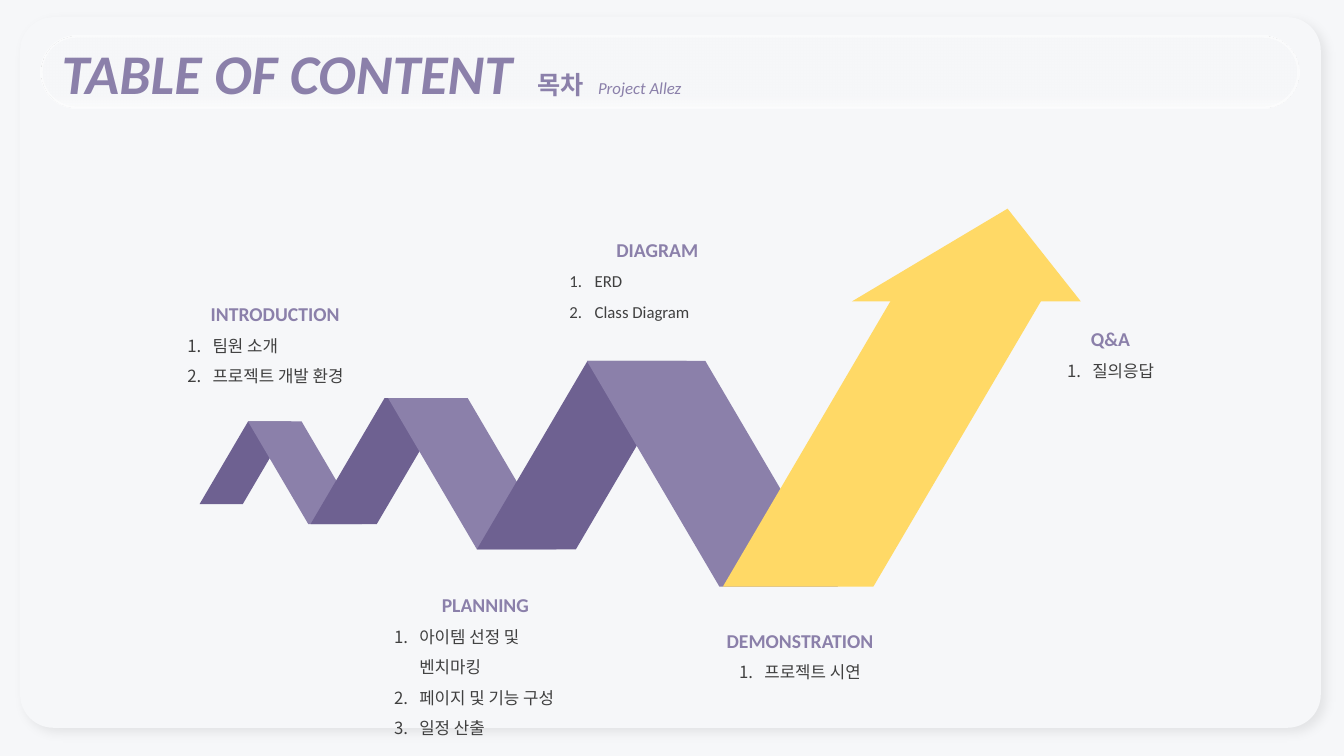
"""Build the table of content slide with a rising zigzag arrow."""
from dataclasses import dataclass

from lxml.etree import SubElement as Sub
from pptx import Presentation as Deck
from pptx.dml.color import RGBColor as Rgb
from pptx.enum.shapes import MSO_SHAPE as Kind
from pptx.enum.text import MSO_ANCHOR as Anchor, MSO_AUTO_SIZE as Fit, PP_ALIGN as Align
from pptx.oxml import parse_xml
from pptx.oxml.ns import nsdecls, qn
from pptx.util import Emu, Pt

PX = 9144
PALE, LILAC, PLUM, GOLD, GREY = "F6F7F9", "8B80AA", "6E6191", "FFD966", "404040"
HEAD = {"size": Pt(14), "name": "Calibri", "bold": True}
ITEM = {"size": Pt(12), "name": "Calibri", "bold": False}


@dataclass
class Box:
    x: int
    y: int
    w: int
    h: int

    def emu(self) -> list[Emu]:
        """Return left, top, width and height in EMU."""
        return [Emu(n * PX) for n in (self.x, self.y, self.w, self.h)]


@dataclass
class Topic:
    box: Box
    title: str
    items: list[str]
    mid: bool = False


BANDS = [
    Box(198, 418, 91, 82),
    Box(246, 418, 113, 102),
    Box(308, 395, 139, 125),
    Box(385, 395, 167, 150),
    Box(473, 358, 208, 187),
    Box(582, 358, 249, 224),
]

TOPICS = [
    Topic(Box(381, 572, 201, 136), "PLANNING",
          ["아이템 선정 및 벤치마킹", "페이지 및 기능 구성", "일정 산출"]),
    Topic(Box(555, 219, 194, 106), "DIAGRAM", ["ERD", "Class Diagram"]),
    Topic(Box(667, 607, 253, 129), "DEMONSTRATION", ["프로젝트 시연"], True),
    Topic(Box(176, 283, 194, 106), "INTRODUCTION", ["팀원 소개", "프로젝트 개발 환경"]),
    Topic(Box(975, 308, 253, 98), "Q&A", ["질의응답"], True),
]

TITLE = [
    ("TABLE OF CONTENT", {"size": Pt(40), "bold": True, "italic": True}),
    ("\t목차", {"size": Pt(18), "bold": True, "italic": False}),
    ("\tProject Allez", {"size": Pt(12), "bold": False, "italic": True}),
]
TABS = (472, 532)


def paint(fill, tone: str) -> None:
    """Give a fill one solid colour."""
    fill.solid()
    fill.fore_color.rgb = Rgb.from_string(tone)


def style(obj, form: dict) -> None:
    """Set each format value on an object."""
    for key, val in form.items():
        setattr(obj, key, val)


def write(para, text: str, form: dict, tone: str) -> None:
    """Add a styled run to a paragraph."""
    run = para.add_run()
    run.text = text
    style(run.font, form)
    paint(run.font.fill, tone)


def draw(slide, kind: Kind, box: Box, adj: float, tone: str, flip: bool = False):
    """Add a plain preset shape without line or shadow."""
    shape = slide.shapes.add_shape(kind, *box.emu())
    shape.adjustments[0] = adj
    shape.shadow.inherit = False
    paint(shape.fill, tone)
    shape.line.fill.background()
    if flip:
        shape._element.spPr.get_or_add_xfrm().set("flipH", "1")
    return shape


def card(slide) -> None:
    """Draw the back card with its soft shadow."""
    shape = draw(slide, Kind.ROUNDED_RECTANGLE, Box(20, 17, 1290, 705), 0.047, PALE)
    glow = shape._element.spPr.find(qn("a:effectLst"))
    glow.append(parse_xml(
        f'<a:outerShdw {nsdecls("a")} blurRad="{Pt(7)}" dist="{Pt(5)}" dir="2700000" '
        'algn="tl" rotWithShape="0"><a:srgbClr val="000000"><a:alpha val="7000"/>'
        '</a:srgbClr></a:outerShdw>'))


def banner(slide) -> None:
    """Draw the title pill and its text."""
    shape = draw(slide, Kind.ROUNDED_RECTANGLE, Box(41, 36, 1247, 71), 0.5, PALE)
    prop = shape._element.spPr
    old = prop.find(qn("a:solidFill"))
    prop.replace(old, parse_xml(
        f'<a:gradFill {nsdecls("a")} rotWithShape="1"><a:gsLst>'
        '<a:gs pos="0"><a:srgbClr val="FFFFFF"><a:alpha val="50000"/></a:srgbClr></a:gs>'
        f'<a:gs pos="17000"><a:srgbClr val="{PALE}"/></a:gs></a:gsLst>'
        '<a:lin ang="16200000" scaled="0"/></a:gradFill>'))
    paint(shape.line.fill, "FFFFFF")
    shape.line.width = Pt(2)
    ink = prop.find(qn("a:ln")).find(".//" + qn("a:srgbClr"))
    Sub(ink, qn("a:alpha"), val="50000")
    frame = shape.text_frame
    style(frame, {"word_wrap": True, "vertical_anchor": Anchor.MIDDLE})
    para = frame.paragraphs[0]
    para.alignment = Align.LEFT
    stops = Sub(para._p.get_or_add_pPr(), qn("a:tabLst"))
    for pos in TABS:
        Sub(stops, qn("a:tab"), pos=str(pos * PX), algn="l")
    for text, form in TITLE:
        write(para, text, {"name": "Calibri", **form}, LILAC)


def label(slide, topic: Topic) -> None:
    """Write a topic heading with its numbered list."""
    frame = slide.shapes.add_textbox(*topic.box.emu()).text_frame
    style(frame, {"word_wrap": True, "auto_size": Fit.SHAPE_TO_FIT_TEXT})
    para = frame.paragraphs[0]
    style(para, {"alignment": Align.CENTER, "line_spacing": 1.5})
    write(para, topic.title, HEAD, LILAC)
    for text in topic.items:
        para = frame.add_paragraph()
        side = Align.CENTER if topic.mid else Align.LEFT
        style(para, {"alignment": side, "line_spacing": 1.5})
        prop = para._p.get_or_add_pPr()
        prop.set("marL", str(25 * PX))
        prop.set("indent", str(-25 * PX))
        Sub(prop, qn("a:buFont"), typeface="+mj-lt")
        Sub(prop, qn("a:buAutoNum"), type="arabicPeriod")
        write(para, text, ITEM, GREY)


def main() -> None:
    """Build and save the slide."""
    deck = Deck()
    style(deck, {"slide_width": Emu(1333 * PX), "slide_height": Emu(750 * PX)})
    slide = deck.slides.add_slide(deck.slide_layouts[6])
    paint(slide.background.fill, PALE)
    card(slide)
    banner(slide)
    for i, box in enumerate(BANDS):
        down = i % 2 == 1
        draw(slide, Kind.PARALLELOGRAM, box, 0.587, LILAC if down else PLUM, down)
    draw(slide, Kind.PARALLELOGRAM, Box(717, 298, 316, 284), 0.587, GOLD)
    draw(slide, Kind.ISOSCELES_TRIANGLE, Box(845, 207, 227, 92), 0.68, GOLD)
    for topic in TOPICS:
        label(slide, topic)
    deck.save("out.pptx")


if __name__ == "__main__":
    main()
